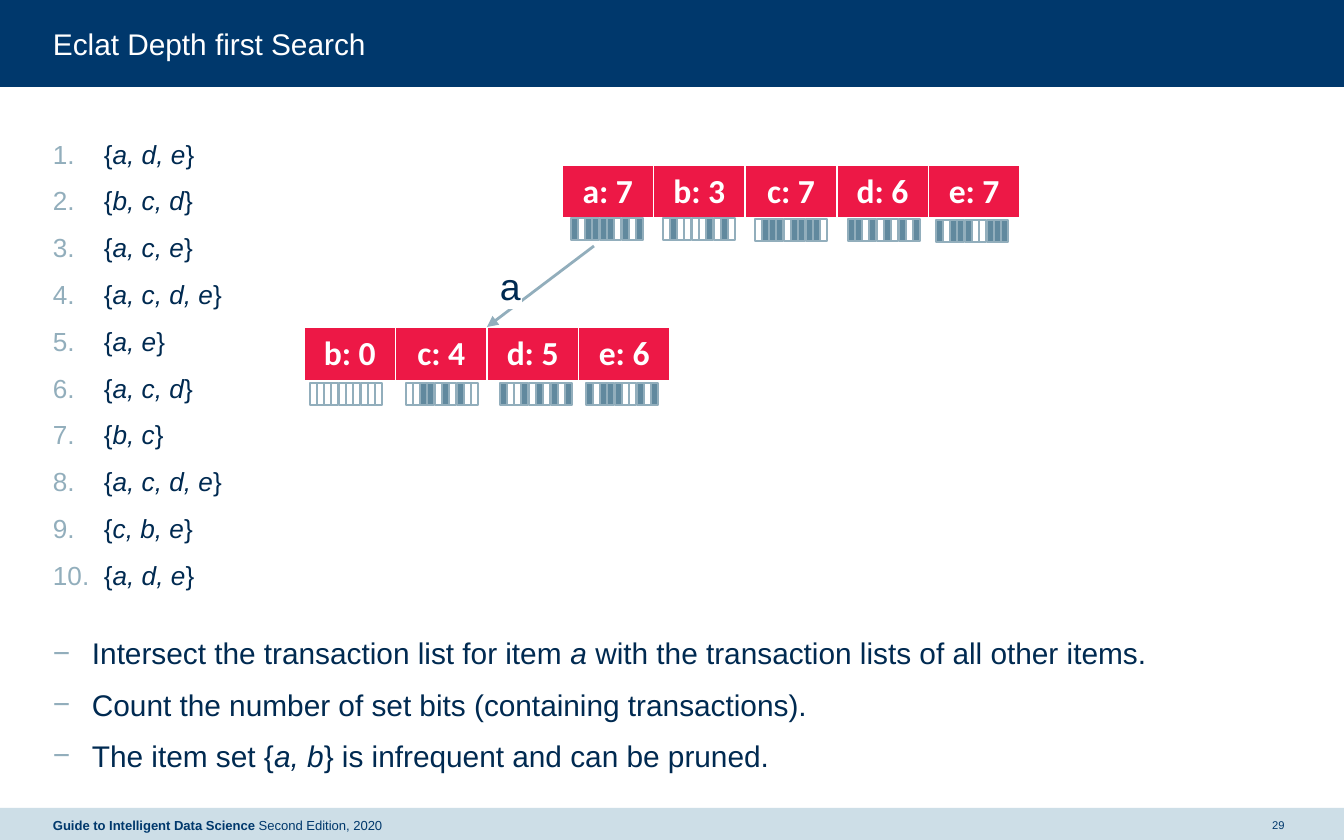
from dataclasses import dataclass

import pptx
import pptx.dml.color
import pptx.enum.shapes
import pptx.enum.text
import pptx.oxml
import pptx.oxml.ns
import pptx.util

EMU_PER_PX = 914400 / 134.4
SLIDE_SIZE = (1344, 840)
COLORS = {
    "navy": "00386C",
    "ink": "002A51",
    "pale": "CDDEE7",
    "steel": "92AEBC",
    "bit": "61899E",
    "red": "ED1846",
    "white": "FFFFFF",
}
TRANSACTIONS = ["a, d, e", "b, c, d", "a, c, e", "a, c, d, e", "a, e",
                "a, c, d", "b, c", "a, c, d, e", "c, b, e", "a, d, e"]
STEPS = [
    "Intersect the transaction list for item *a *with the transaction lists of all other items.",
    "Count the number of set bits (containing transactions).",
    "The item set {*a, b*} is infrequent and can be pruned.",
]
NUMBERED = '<a:buAutoNum {} type="arabicPeriod"/>'
DASHED = '<a:buChar {} char="−"/>'
BIT_HEIGHT = 22
BITMAP_WIDTH = 73
ROW_HEIGHT = 55


@dataclass(frozen=True)
class Area:
    left: int
    top: int
    width: int
    height: int

    def emu(self) -> tuple:
        return tuple(px(v) for v in (self.left, self.top, self.width, self.height))


@dataclass(frozen=True)
class Style:
    size: int
    color: str
    font: str = "Arial"
    emphasis: str = "italic"
    align: str = "LEFT"
    anchor: str = "TOP"
    wrap: bool = True
    bullet: str = ""
    indent: int = 0


@dataclass(frozen=True)
class Level:
    area: Area
    prefix: str
    items: str
    bitmaps: tuple


LEVELS = [
    Level(Area(562, 165, 458, ROW_HEIGHT), "", "abcde",
          ((571, 218), (663, 218), (755, 219), (848, 219), (936, 220))),
    Level(Area(304, 327, 366, ROW_HEIGHT), "a", "bcde",
          ((310, 383), (406, 383), (500, 383), (586, 383))),
]


def px(value: float) -> int:
    return round(value * EMU_PER_PX)


def rgb(name: str) -> pptx.dml.color.RGBColor:
    return pptx.dml.color.RGBColor.from_string(COLORS[name])


def element(xml: str):
    tag_end = xml.replace("{}", pptx.oxml.ns.nsdecls("a"), 1)
    return pptx.oxml.parse_xml(tag_end)


def write_line(para, text: str, style: Style) -> None:
    para.alignment = getattr(pptx.enum.text.PP_ALIGN, style.align)
    for index, piece in enumerate(text.split("*")):
        if not piece:
            continue
        span = para.add_run()
        span.text = piece
        values = {
            "name": style.font,
            "size": pptx.util.Pt(style.size),
            style.emphasis: index % 2 == 1,
        }
        for name, value in values.items():
            setattr(span.font, name, value)
        span.font.color.rgb = rgb(style.color)


def add_bullet(para, style: Style) -> None:
    properties = para._p.get_or_add_pPr()
    properties.set("marL", str(px(style.indent)))
    properties.set("indent", str(-px(style.indent)))
    for xml in (f'<a:buClr {{}}><a:srgbClr val="{COLORS["steel"]}"/></a:buClr>',
                '<a:buFont {} typeface="Arial"/>', style.bullet):
        properties.append(element(xml))


def add_text(page, area: Area, lines: list, style: Style):
    box = page.shapes.add_textbox(*area.emu())
    values = {
        "margin_left": 0, "margin_top": 0, "margin_right": 0, "margin_bottom": 0,
        "word_wrap": style.wrap,
        "vertical_anchor": getattr(pptx.enum.text.MSO_ANCHOR, style.anchor),
    }
    for name, value in values.items():
        setattr(box.text_frame, name, value)
    for index, line in enumerate(lines):
        para = box.text_frame.add_paragraph() if index else box.text_frame.paragraphs[0]
        if style.bullet:
            add_bullet(para, style)
        if index:
            para.space_before = pptx.util.Pt(8.25)
        write_line(para, line, style)
    return box


def add_rectangle(shapes, area: Area, fill: str = "", line: str = "") -> None:
    shape = shapes.add_shape(pptx.enum.shapes.MSO_SHAPE.RECTANGLE, *area.emu())
    shape.shadow.inherit = False
    for part, color in ((shape.fill, fill), (shape.line.fill, line)):
        if color:
            part.solid()
            part.fore_color.rgb = rgb(color)
        else:
            part.background()
    if line:
        shape.line.width = pptx.util.Pt(0.75)


def transaction_bits(items: str) -> list:
    return [set(items) <= set(transaction) for transaction in TRANSACTIONS]


def add_bitmap(page, left: int, top: int, bits: list) -> None:
    group = page.shapes.add_group_shape()
    for index, bit in enumerate(bits):
        area = Area(left + BITMAP_WIDTH * index // len(bits), top, 7, BIT_HEIGHT)
        add_rectangle(group.shapes, area, "bit" if bit else "", "steel")


def add_cell_borders(cell) -> None:
    properties = cell._tc.get_or_add_tcPr()
    for index, (side, points) in enumerate({"L": 1, "R": 1, "T": 1, "B": 3}.items()):
        properties.insert(index, element(
            f'<a:ln{side} {{}} w="{pptx.util.Pt(points)}"><a:solidFill>'
            f'<a:srgbClr val="{COLORS["white"]}"/></a:solidFill></a:ln{side}>'))


def add_level(page, level: Level) -> None:
    count = len(level.items)
    table = page.shapes.add_table(1, count, *level.area.emu()).table
    table.first_row = table.horz_banding = False
    style = Style(18, "white", font="Calibri", emphasis="bold", align="CENTER")
    for index, item in enumerate(level.items):
        table.columns[index].width = px(level.area.width / count)
        bits = transaction_bits(level.prefix + item)
        cell = table.cell(0, index)
        cell.fill.solid()
        cell.fill.fore_color.rgb = rgb("red")
        add_cell_borders(cell)
        write_line(cell.text_frame.paragraphs[0], f"*{item}: {sum(bits)}*", style)
        add_bitmap(page, *level.bitmaps[index], bits)


def add_arrow(page, start: tuple, end: tuple) -> None:
    arrow = page.shapes.add_connector(
        pptx.enum.shapes.MSO_CONNECTOR.STRAIGHT, *(px(v) for v in start + end))
    arrow.line.width = pptx.util.Pt(1.5)
    arrow.line.color.rgb = rgb("steel")
    arrow.line._get_or_add_ln().append(element('<a:tailEnd {} type="triangle"/>'))
    arrow._element.spPr.append(element("<a:effectLst {}/>"))


def main() -> None:
    deck = pptx.Presentation()
    deck.slide_width, deck.slide_height = (px(v) for v in SLIDE_SIZE)
    page = deck.slides.add_slide(deck.slide_layouts[6])

    add_rectangle(page.shapes, Area(0, 0, 1344, 87), "navy")
    add_rectangle(page.shapes, Area(0, 808, 1344, 32), "pale")
    add_text(page, Area(53, 26, 1239, 36), ["Eclat Depth first Search"], Style(16, "white"))
    add_text(page, Area(1265, 808, 27, 34), ["29"],
             Style(6, "navy", align="CENTER", anchor="MIDDLE"))
    add_text(page, Area(53, 808, 590, 34),
             ["*Guide to Intelligent Data Science *Second Edition, 2020"],
             Style(7, "navy", emphasis="bold", anchor="MIDDLE"))
    add_text(page, Area(53, 138, 240, 440), [f"{{*{items}*}}" for items in TRANSACTIONS],
             Style(14, "ink", bullet=NUMBERED, indent=51))
    add_text(page, Area(53, 635, 1231, 136), STEPS,
             Style(16, "ink", bullet=DASHED, indent=39))

    for level in LEVELS:
        add_level(page, level)
    add_arrow(page, (594, 246), (487, 327))
    label = add_text(page, Area(500, 263, 22, 46), ["a"], Style(20, "ink", wrap=False))
    label.fill.solid()
    label.fill.fore_color.rgb = rgb("white")
    deck.save("out.pptx")


if __name__ == "__main__":
    main()
